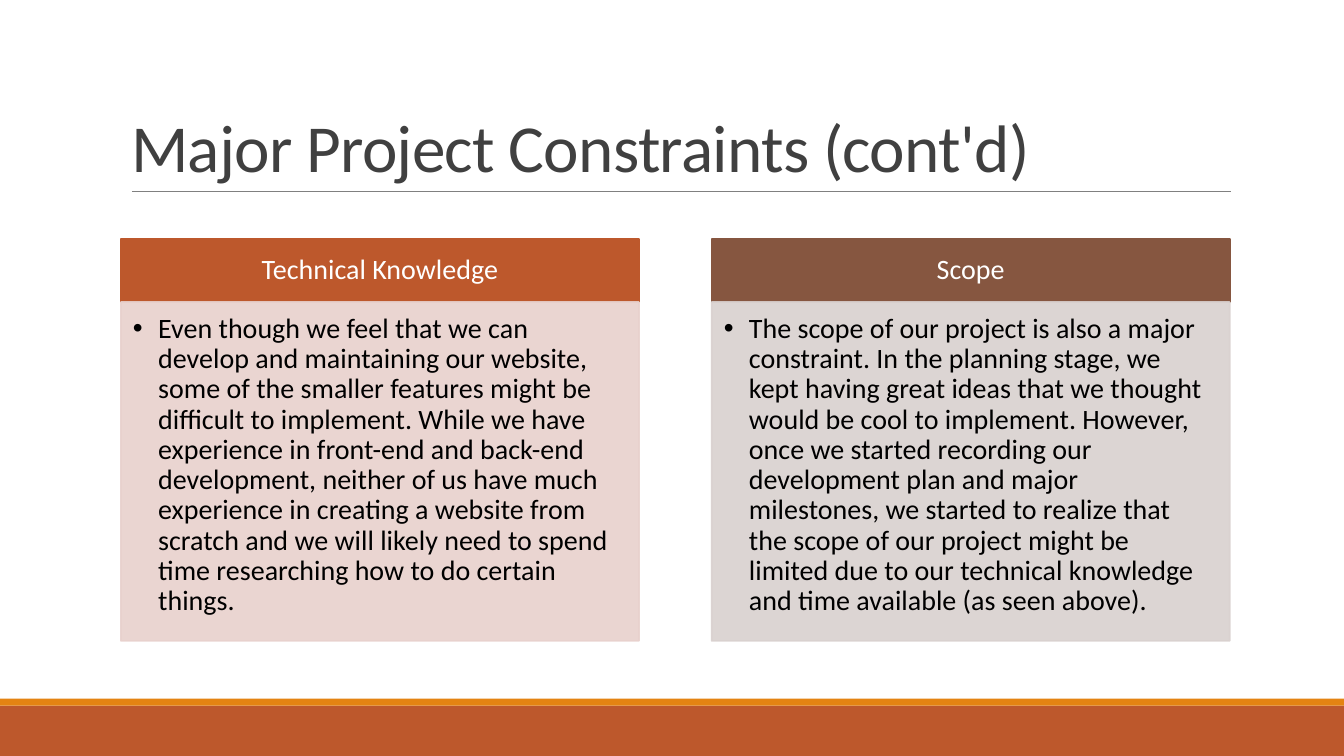
import pptx
import pptx.util
import pptx.dml.color
import pptx.enum.shapes
import pptx.enum.text
import pptx.oxml
import pptx.oxml.ns

Pt = pptx.util.Pt
RGB = pptx.dml.color.RGBColor
ALIGN = pptx.enum.text.PP_ALIGN
ANCHOR = pptx.enum.text.MSO_ANCHOR

RUST = RGB(0xBD, 0x58, 0x2C)
AMBER = RGB(0xE4, 0x83, 0x12)
BROWN = RGB(0x86, 0x56, 0x40)
ROSE = RGB(0xE8, 0xD1, 0xCD)
STONE = RGB(0xD9, 0xD1, 0xCF)
GRAY = RGB(0x80, 0x80, 0x80)
DARK = RGB(0x40, 0x40, 0x40)
WHITE = RGB(0xFF, 0xFF, 0xFF)
BLACK = RGB(0, 0, 0)


def write(shape, text, size=20, color=BLACK, align=ALIGN.LEFT,
          anchor=ANCHOR.TOP, inset=(7.2, 3.6, 7.2, 3.6), lead=0.9, after=0):
    frame = shape.text_frame
    frame.text = text
    frame.word_wrap = True
    frame.auto_size = pptx.enum.text.MSO_AUTO_SIZE.NONE
    frame.vertical_anchor = anchor
    frame.margin_left, frame.margin_top, frame.margin_right, frame.margin_bottom = map(Pt, inset)
    para = frame.paragraphs[0]
    para.alignment = align
    para.line_spacing = lead
    para.space_before = Pt(0)
    para.space_after = Pt(after)
    font = para.runs[0].font
    font.name = "Calibri"
    font.size = Pt(size)
    font.bold = False
    font.color.rgb = color
    return para


def place(shape, left, top, width, height, fill=None, edge=0):
    shape.left, shape.top, shape.width, shape.height = map(Pt, (left, top, width, height))
    if fill is not None:
        shape.fill.solid()
        shape.fill.fore_color.rgb = fill
        if edge:
            shape.line.color.rgb = fill
            shape.line.width = Pt(edge)
        else:
            shape.line.fill.background()


deck = pptx.Presentation()
deck.slide_width = Pt(960)
deck.slide_height = Pt(540)
slide = deck.slides.add_slide(deck.slide_layouts[4])

for top, height, fill in ((504, 36, RUST), (499, 5, AMBER)):
    bar = slide.shapes.add_shape(pptx.enum.shapes.MSO_SHAPE.RECTANGLE, 0, 0, 0, 0)
    bar.shadow.inherit = False
    place(bar, 0, top, 960, height, fill)

rule = slide.shapes.add_connector(
    pptx.enum.shapes.MSO_CONNECTOR.STRAIGHT, Pt(94.3), Pt(136.8), Pt(879), Pt(136.8))
rule.line.color.rgb = GRAY
rule.line.width = Pt(0.5)
rule._element.spPr.append(pptx.oxml.parse_xml(
    "<a:effectLst %s/>" % pptx.oxml.ns.nsdecls("a")))

title = slide.shapes.title
place(title, 86.4, 22.6, 792, 114.2)
para = write(title, "Major Project Constraints (cont'd)", size=48, color=DARK,
             anchor=ANCHOR.BOTTOM, lead=0.85)
para.runs[0].font._element.set("spc", "-50")

cards = (
    ("Technical Knowledge", RUST, ROSE,
     "Even though we feel that we can develop and maintaining our website, some of the "
     "smaller features might be difficult to implement. While we have experience in "
     "front-end and back-end development, neither of us have much experience in creating "
     "a website from scratch and we will likely need to spend time researching how to do "
     "certain things."),
    ("Scope", BROWN, STONE,
     "The scope of our project is also a major constraint. In the planning stage, we kept "
     "having great ideas that we thought would be cool to implement. However, once we "
     "started recording our development plan and major milestones, we started to realize "
     "that the scope of our project might be limited due to our technical knowledge and "
     "time available (as seen above)."),
)
holders = {item.placeholder_format.idx: item for item in slide.placeholders}
for col, (label, dark, light, text) in enumerate(cards):
    left = 86.4 + col * 422
    head = holders[1 + 2 * col]
    place(head, left, 170.6, 370, 45, dark, 1.25)
    write(head, label, color=WHITE, align=ALIGN.CENTER, anchor=ANCHOR.MIDDLE,
          inset=(11.5, 6.5, 11.5, 6.5), after=7)

    body = holders[2 + 2 * col]
    place(body, left, 215.8, 370, 242, light, 1.25)
    para = write(body, text, inset=(8.6, 8.6, 11.5, 12.2), after=3)
    props = para._p.get_or_add_pPr()
    props.set("marL", str(Pt(18)))
    props.set("indent", str(Pt(-18)))
    props.append(pptx.oxml.parse_xml(
        '<a:buChar %s char="•"/>' % pptx.oxml.ns.nsdecls("a")))
    for tint in body._element.spPr.iter(pptx.oxml.ns.qn("a:srgbClr")):
        tint.append(pptx.oxml.parse_xml(
            '<a:alpha %s val="90000"/>' % pptx.oxml.ns.nsdecls("a")))

deck.save("out.pptx")
